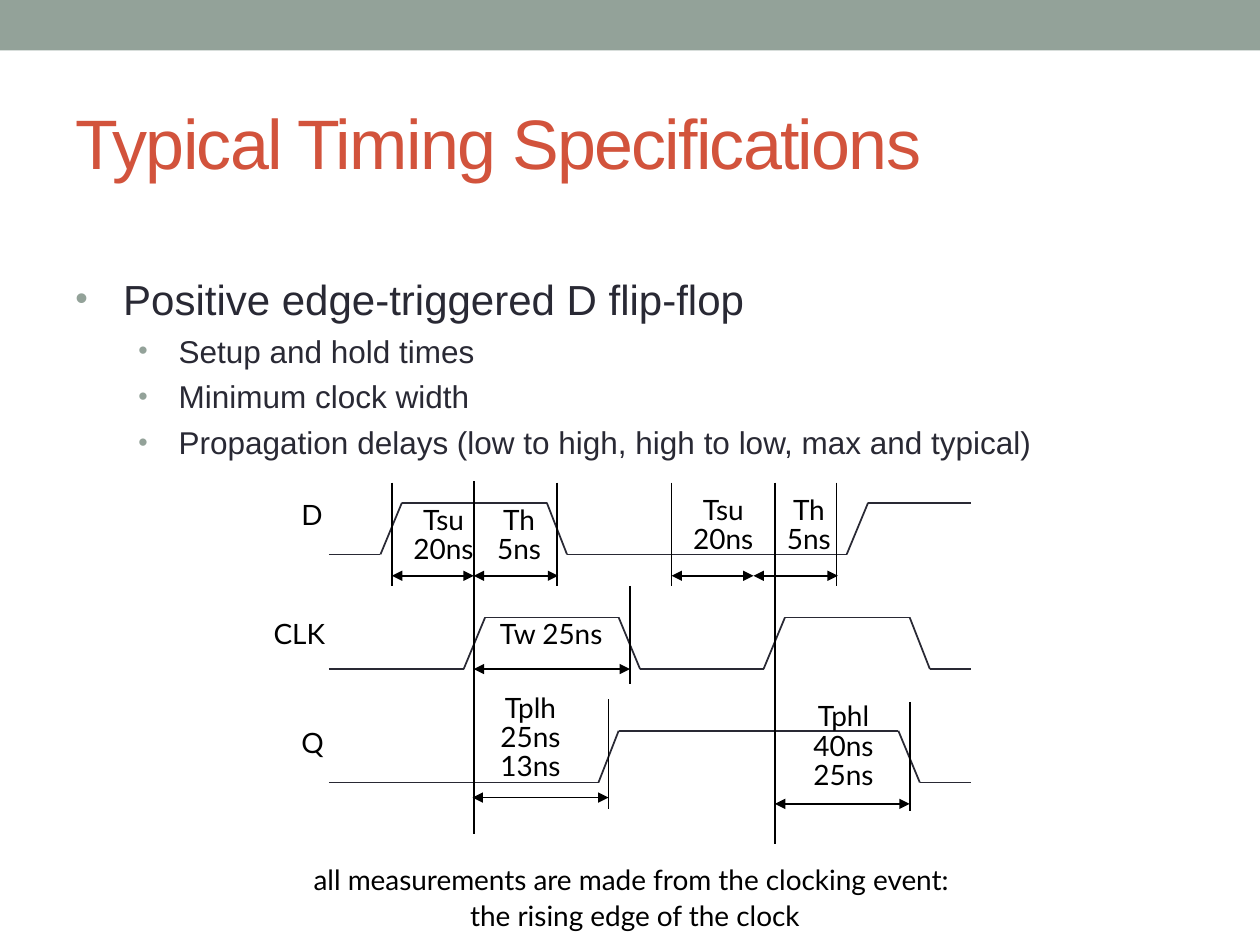
from itertools import pairwise

from pptx import Presentation
from pptx.dml.color import RGBColor
from pptx.enum.shapes import MSO_CONNECTOR, MSO_SHAPE
from pptx.enum.text import MSO_ANCHOR, PP_ALIGN
from pptx.oxml.ns import qn
from pptx.util import Emu, Pt
from lxml.etree import SubElement

PX = 9144  # 100 px to the inch
INK, BLACK, SAGE, RED = "292934", "000000", "93A299", "D2533C"


def px(n):
    return Emu(n * PX)


def color(value):
    return RGBColor.from_string(value)


def assign(obj, **values):
    for name, value in values.items():
        setattr(obj, name, value)


class SlideBuilder:
    label_font, body_font = "Lato", "Arial"

    def __init__(self, prs):
        self.s = prs.slides.add_slide(prs.slide_layouts[5])

    def style(self, font, name, size, ink):
        assign(font, name=name, size=Pt(size))
        font.color.rgb = color(ink)

    def band(self, x, y, w, h, fill):
        sp = self.s.shapes.add_shape(MSO_SHAPE.RECTANGLE, px(x), px(y), px(w), px(h))
        sp.shadow.inherit = False
        sp.fill.solid()
        sp.fill.fore_color.rgb = color(fill)
        sp.line.fill.background()

    def title(self, text, x, y, w, h):
        sp = self.s.shapes.title
        assign(sp, left=px(x), top=px(y), width=px(w), height=px(h))
        tf = sp.text_frame
        assign(tf, vertical_anchor=MSO_ANCHOR.MIDDLE, word_wrap=True)
        p = tf.paragraphs[0]
        p.alignment = PP_ALIGN.LEFT
        r = p.add_run()
        r.text = text
        self.style(r.font, self.body_font, 40, RED)
        r.font._element.set("spc", "-100")

    def bullets(self, items, x, y, w, h):
        """Items are (level, text) pairs."""
        formats = {0: (24, 38, 38), 1: (18, 82, 32)}  # size, margin, hang
        tf = self.s.shapes.add_textbox(px(x), px(y), px(w), px(h)).text_frame
        tf.word_wrap = True
        for i, (level, text) in enumerate(items):
            size, margin, hang = formats[level]
            p = tf.add_paragraph() if i else tf.paragraphs[0]
            p.level = level
            if i:
                p.space_before = Pt(4.5)
            pPr = p._p.get_or_add_pPr()
            pPr.set("marL", str(px(margin)))
            pPr.set("indent", str(-px(hang)))
            clr = SubElement(pPr, qn("a:buClr"))
            SubElement(clr, qn("a:srgbClr"), val=SAGE)
            SubElement(pPr, qn("a:buSzPct"), val="85000")
            SubElement(pPr, qn("a:buFont"), typeface="Arial")
            SubElement(pPr, qn("a:buChar"), char="•")
            r = p.add_run()
            r.text = text
            self.style(r.font, self.body_font, size, INK)

    def label(self, lines, x, y, w, h, align=PP_ALIGN.CENTER, spacing=16.8):
        tf = self.s.shapes.add_textbox(px(x), px(y), px(w), px(h)).text_frame
        assign(tf, word_wrap=False, margin_left=px(2), margin_right=px(2),
               margin_top=px(3), margin_bottom=px(3))
        p = tf.paragraphs[0]
        assign(p, alignment=align, line_spacing=Pt(spacing))
        for i, line in enumerate(lines):
            if i:
                p.add_line_break()
            r = p.add_run()
            r.text = line
            self.style(r.font, self.label_font, 16, BLACK)

    def line(self, x1, y1, x2, y2, ink=BLACK, arrows=False):
        cn = self.s.shapes.add_connector(
            MSO_CONNECTOR.STRAIGHT, px(x1), px(y1), px(x2), px(y2))
        cn.line.width = Pt(1)
        cn.line.color.rgb = color(ink)
        if arrows:
            for end in ("a:headEnd", "a:tailEnd"):
                SubElement(cn.line._get_or_add_ln(), qn(end), type="triangle")
        SubElement(cn._element.spPr, qn("a:effectLst"))

    def wave(self, xs, low, high, start_high=False):
        """Signal trace: flat and sloping stretches alternate along xs."""
        levels = (low, low, high, high)
        points = [(x, levels[i % 4]) for i, x in enumerate(xs)]
        for a, b in pairwise(points):
            self.line(*a, *b, ink=INK)


def main():
    prs = Presentation()
    assign(prs, slide_width=px(1000), slide_height=px(750))
    b = SlideBuilder(prs)

    # Header and text
    b.band(0, 0, 1000, 40, SAGE)
    b.title("Typical Timing Specifications", 50, 58, 900, 108)
    b.bullets([
        (0, "Positive edge-triggered D flip-flop"),
        (1, "Setup and hold times"),
        (1, "Minimum clock width"),
        (1, "Propagation delays (low to high, high to low, max and typical)"),
    ], 50, 212, 903, 500)

    # Signal traces: D, CLK, Q
    b.wave([261, 302, 319, 434, 450, 672, 689, 771], 440, 399)
    b.wave([261, 368, 385, 491, 508, 606, 623, 722, 738, 771], 531, 490)
    b.wave([261, 475, 491, 713, 730, 771], 621, 580)

    # Vertical reference lines: clock edges, then interval limits
    for x, top, bottom in [
        (376, 382, 662), (615, 383, 670),
        (311, 383, 465), (442, 383, 465), (533, 383, 465), (664, 383, 465),
        (500, 465, 543), (483, 555, 642), (722, 557, 644),
    ]:
        b.line(x, top, x, bottom)

    # Interval arrows
    for x1, x2, y in [
        (311, 376, 457), (376, 443, 457), (533, 598, 457), (598, 665, 457),
        (376, 500, 531), (375, 483, 633), (615, 722, 638),
    ]:
        b.line(x1, y, x2, y, arrows=True)

    # Interval labels
    for lines, *box in [
        (["Tsu", "20ns"], 313, 399, 78, 63),
        (["Th", "5ns"], 368, 399, 88, 86),
        (["Tsu", "20ns"], 535, 391, 78, 63),
        (["Th", "5ns"], 598, 391, 88, 86),
        (["Tw 25ns"], 376, 490, 123, 63),
        (["Tplh", "25ns", "13ns"], 375, 548, 92, 86),
        (["Tphl", "40ns", "25ns"], 631, 555, 77, 86),
    ]:
        b.label(lines, *box)

    # Signal names
    for name, *box in [
        ("D", 198, 395, 60, 37), ("CLK", 175, 490, 85, 37), ("Q", 196, 576, 63, 37),
    ]:
        b.label([name], *box, align=PP_ALIGN.RIGHT)

    # Footnote
    b.label(["all measurements are made from the clocking event: ",
             "the rising edge of the clock"], 174, 679, 660, 71, spacing=20.8)

    prs.save("out.pptx")


if __name__ == "__main__":
    main()
